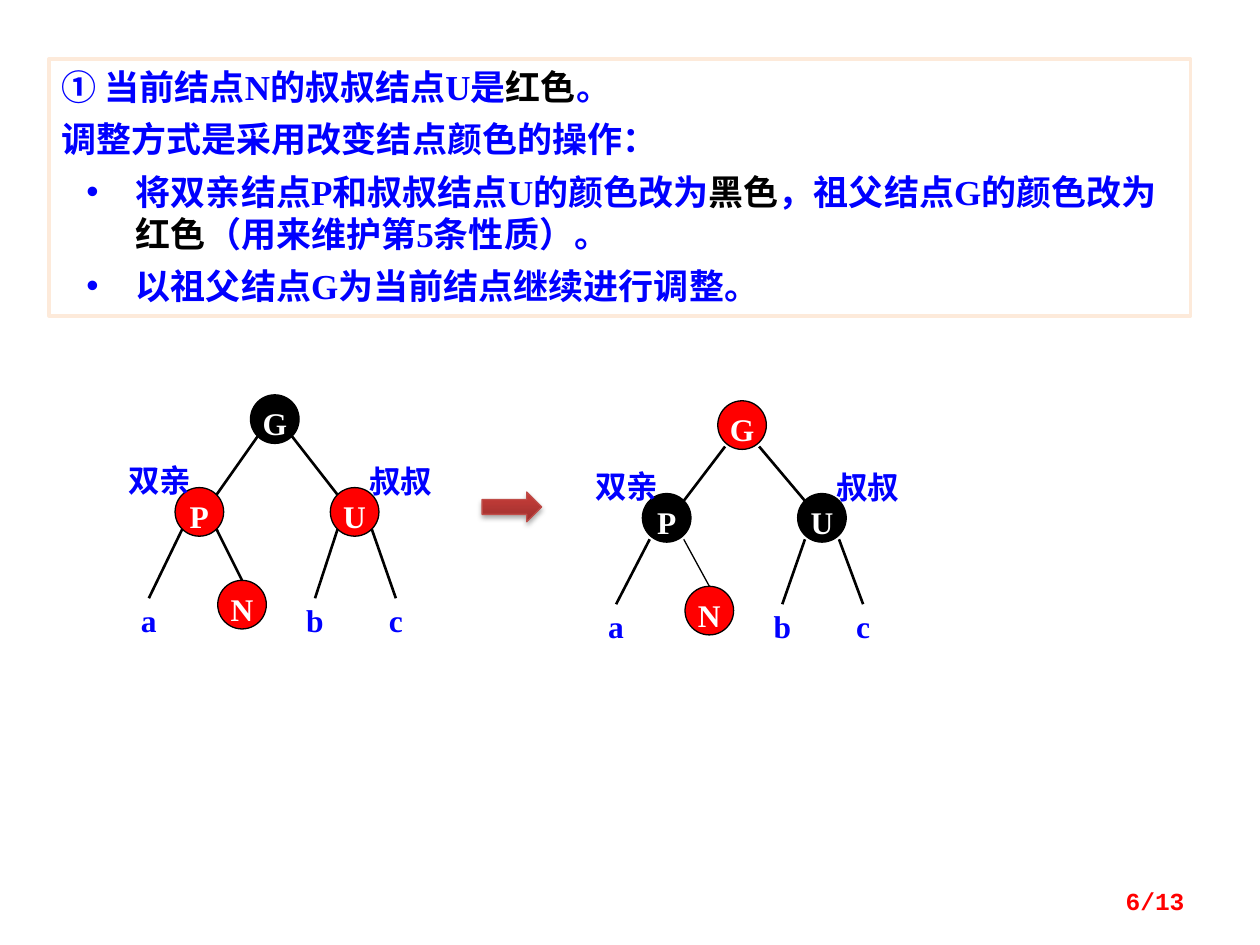
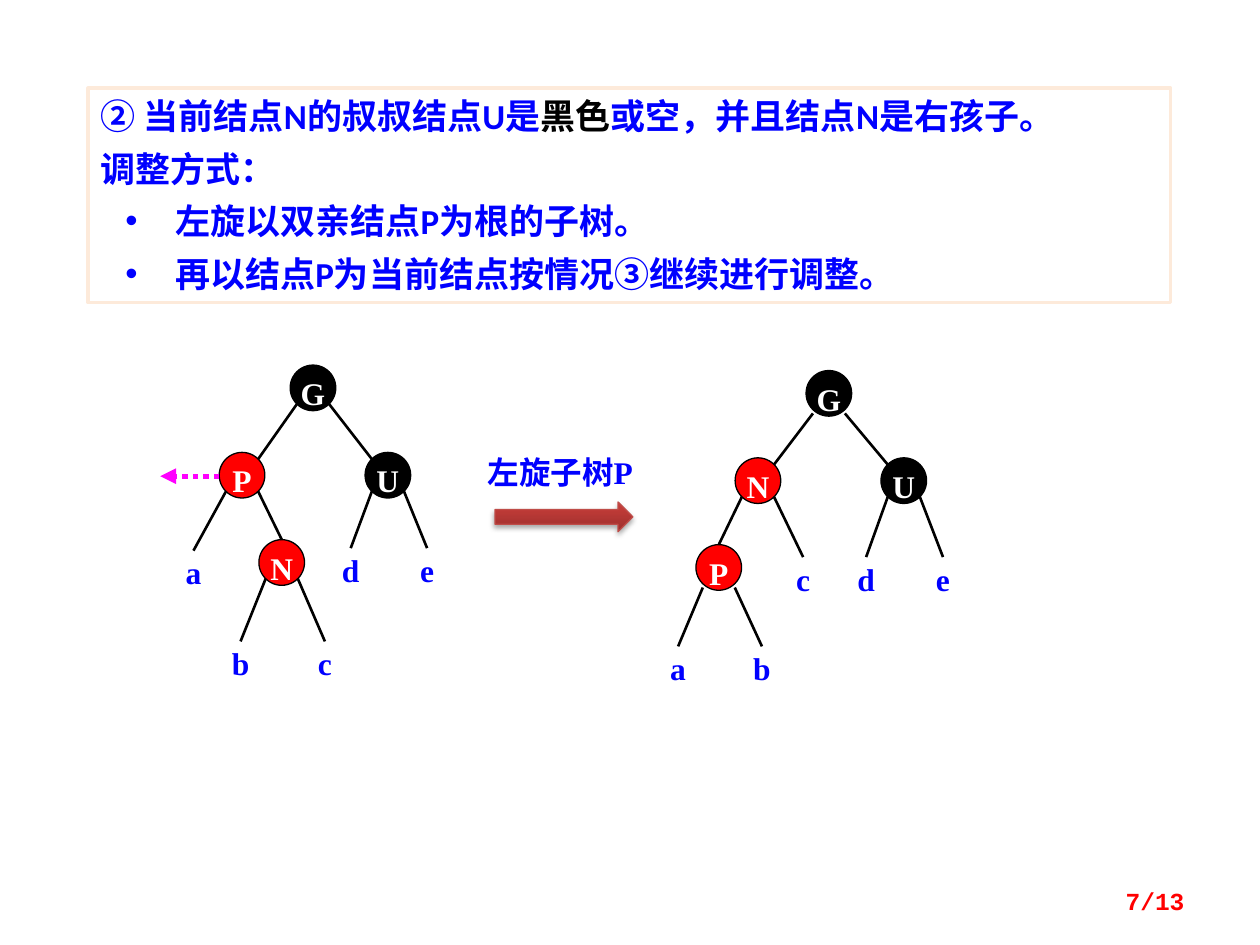
from lxml.etree import SubElement
from pptx import Presentation
from pptx.dml.color import RGBColor
from pptx.enum.dml import MSO_LINE as Dash
from pptx.enum.shapes import MSO_CONNECTOR as Wire, MSO_SHAPE as Form
from pptx.enum.text import MSO_ANCHOR as Anchor, MSO_AUTO_SIZE as Fit, PP_ALIGN as Align
from pptx.oxml.ns import qn
from pptx.util import Cm, Pt

BLUE = RGBColor(0x00, 0x00, 0xFF)
RED = RGBColor(0xFF, 0x00, 0x00)
BLACK = RGBColor(0x00, 0x00, 0x00)
WHITE = RGBColor(0xFF, 0xFF, 0xFF)
PINK = RGBColor(0xFF, 0x00, 0xFF)
PEACH = RGBColor(0xFD, 0xEA, 0xDA)
RUST = RGBColor(0xBF, 0x4C, 0x48)
DARK = RGBColor(0x9C, 0x2F, 0x2D)
LIGHT = RGBColor(0xCB, 0x3E, 0x3A)

LABEL = {"name": "Times New Roman", "size": Pt(18), "bold": True}
FOOT = {"name": "Courier New", "size": Pt(14), "bold": True}
BODY = {"size": Pt(20), "bold": True}
TIGHT = {"margin_left": 0, "margin_right": 0, "margin_top": Cm(0.05),
         "margin_bottom": 0, "word_wrap": True, "vertical_anchor": Anchor.TOP}


def write(par, text, hue, look):
    """Add text to a paragraph; parts between asterisks turn black."""
    for i, part in enumerate(text.split("*")):
        run = par.add_run()
        run.text = part
        run.font.color.rgb = BLACK if i % 2 else hue
        for key, val in look.items():
            setattr(run.font, key, val)


def label(shape, text, hue, align):
    for key, val in TIGHT.items():
        setattr(shape.text_frame, key, val)
    par = shape.text_frame.paragraphs[0]
    par.alignment = align
    write(par, text, hue, LABEL)


# Trees: capitals are nodes (centre), small letters are leaves (top middle)
first = {"G": (5.54, 8.45), "P": (4.02, 10.32), "N": (4.88, 12.19), "U": (7.15, 10.32),
         "a": (3.0, 12.06), "b": (6.35, 12.06), "c": (7.98, 12.06)}
moved = {key: (x + 9.42, y + 0.12) for key, (x, y) in first.items()}
before = {"G": (6.31, 7.82), "P": (4.88, 9.58), "N": (5.68, 11.34), "U": (7.82, 9.58),
          "a": (3.9, 11.1), "d": (7.07, 11.05), "e": (8.61, 11.05),
          "b": (4.85, 12.93), "c": (6.55, 12.93)}
after = {"G": (16.71, 7.93), "N": (15.28, 9.69), "P": (14.49, 11.44), "U": (18.22, 9.69),
         "c": (16.19, 11.23), "d": (17.46, 11.23), "e": (19.01, 11.23),
         "a": (13.67, 13.03), "b": (15.36, 13.03)}
plain = "GP GU PN Pa Ub Uc"

# "low" names nodes whose outgoing edges start lower; "thin" names thin edges
pages = [
    {"foot": "6/13", "box": (0.99, 1.19, 23.01, 5.18), "face": "Times New Roman",
     "level": 1, "size": 0.98,
     "lines": ["① 当前结点N的叔叔结点U是*红色*。",
               "调整方式是采用改变结点颜色的操作：",
               "将双亲结点P和叔叔结点U的颜色改为*黑色*，祖父结点G的颜色改为*红色*（用来维护第5条性质）。",
               "以祖父结点G为当前结点继续进行调整。"],
     "trees": [{"spots": first, "red": "PNU", "edges": plain, "low": "", "thin": ""},
               {"spots": moved, "red": "GN", "edges": plain, "low": "GPU", "thin": "PN"}],
     "tags": [("双亲", 2.59, 9.25, 1.42), ("叔叔", 7.44, 9.27, 1.42),
              ("双亲", 12.0, 9.36, 1.42), ("叔叔", 16.86, 9.39, 1.42)],
     "arrow": (9.72, 9.92, 1.2, 0.6), "turn": None},
    {"foot": "7/13", "box": (1.78, 1.78, 21.82, 4.32), "face": "Calibri",
     "level": 0, "size": 0.92,
     "lines": ["② 当前结点N的叔叔结点U是*黑色*或空，并且结点N是右孩子。",
               "调整方式：",
               "左旋以双亲结点P为根的子树。",
               "再以结点P为当前结点按情况③继续进行调整。"],
     "trees": [{"spots": before, "red": "PN", "edges": "GP GU PN Pa Ud Ue Nb Nc",
                "low": "", "thin": ""},
               {"spots": after, "red": "NP", "edges": "GN GU NP Nc Ud Ue Pa Pb",
                "low": "GP", "thin": ""}],
     "tags": [("左旋子树P", 9.83, 9.09, 3.25)],
     "arrow": (9.98, 10.12, 2.78, 0.6), "turn": (4.42, 3.23, 9.6)},
]

deck = Presentation()
deck.slide_width, deck.slide_height = Cm(25.4), Cm(19.05)

for page in pages:
    shapes = deck.slides.add_slide(deck.slide_layouts[6]).shapes

    # Framed explanation
    box = shapes.add_shape(Form.RECTANGLE, *map(Cm, page["box"]))
    box.shadow.inherit = False
    box.fill.solid()
    box.fill.fore_color.rgb = WHITE
    box.line.color.rgb = PEACH
    box.line.width = Pt(2)
    frame = box.text_frame
    frame.word_wrap = True
    frame.vertical_anchor = Anchor.TOP
    frame.auto_size = Fit.SHAPE_TO_FIT_TEXT
    for i, text in enumerate(page["lines"]):
        par = frame.add_paragraph() if i else frame.paragraphs[0]
        par.alignment = Align.LEFT
        par.space_before = Pt(6)
        write(par, text, BLUE, {**BODY, "name": page["face"]})
        if i > 1:
            par.level = page["level"]
            props = par._p.get_or_add_pPr()
            props.set("marL", str(Cm(1.5)))
            props.set("indent", str(-Cm(1)))
            SubElement(props, qn("a:buFont"), typeface="Arial")
            SubElement(props, qn("a:buChar"), char="•")

    # Trees
    size = page["size"]
    side = 0.35 * size
    wires = []
    for tree in page["trees"]:
        spots, made = tree["spots"], {}
        for key, (x, y) in spots.items():
            if key.isupper():
                node = shapes.add_shape(Form.OVAL, Cm(x - size / 2), Cm(y - size / 2),
                                        Cm(size), Cm(size))
                node.shadow.inherit = False
                node.fill.solid()
                node.fill.fore_color.rgb = RED if key in tree["red"] else BLACK
                node.line.color.rgb = BLACK
                node.line.width = Pt(0.75)
                label(node, key, WHITE, Align.CENTER)
            else:
                node = shapes.add_textbox(Cm(x - 0.25), Cm(y), Cm(0.5), Cm(0.7))
                label(node, key, BLUE, Align.CENTER)
            made[key] = node

        # Edges enter the root's children at a corner, all others at the top
        for edge in tree["edges"].split():
            top, end = edge
            (x1, y1), (x2, y2) = spots[top], spots[end]
            way = side if x2 > x1 else -side
            drop = 0.44 * size if top in tree["low"] else side
            wire = shapes.add_connector(Wire.STRAIGHT, Cm(x1 + way), Cm(y1 + drop),
                                        Cm(x2 - way), Cm(y2 - side))
            if top != "G":
                wire.end_connect(made[end], 0)
            wires.append((wire, BLACK, 0.75 if edge == tree["thin"] else 1.5))

    # Dotted arrow showing the turn
    if page["turn"]:
        start, stop, y = map(Cm, page["turn"])
        turn = shapes.add_connector(Wire.STRAIGHT, start, y, stop, y)
        wires.append((turn, PINK, 3))
    for wire, hue, width in wires:
        wire.line.color.rgb = hue
        wire.line.width = Pt(width)
        SubElement(wire._element.spPr, qn("a:effectLst"))
    if page["turn"]:
        turn.line.dash_style = Dash.ROUND_DOT
        SubElement(turn._element.spPr.find(qn("a:ln")), qn("a:tailEnd"), type="triangle")

    # Captions
    for text, x, y, width in page["tags"]:
        tag = shapes.add_textbox(Cm(x), Cm(y), Cm(width), Cm(0.7))
        label(tag, text, BLUE, Align.LEFT)

    # Step arrow with a soft shadow
    arrow = shapes.add_shape(Form.RIGHT_ARROW, *map(Cm, page["arrow"]))
    arrow.fill.gradient()
    arrow.fill.gradient_angle = 90
    for stop, hue in zip(arrow.fill.gradient_stops, (DARK, LIGHT)):
        stop.color.rgb = hue
    arrow.line.color.rgb = RUST
    arrow.line.width = Pt(0.75)
    arrow.shadow.inherit = False
    glow = SubElement(arrow._element.spPr.find(qn("a:effectLst")), qn("a:outerShdw"),
                      blurRad=str(Pt(3.1)), dist=str(Pt(1.8)), dir="5400000", rotWithShape="0")
    shade = SubElement(glow, qn("a:srgbClr"), val=str(BLACK))
    SubElement(shade, qn("a:alpha"), val="35000")

    # Page number
    foot = shapes.add_textbox(Cm(18.21), Cm(17.65), Cm(5.92), Cm(1.02)).text_frame
    foot.word_wrap = True
    foot.vertical_anchor = Anchor.MIDDLE
    foot.paragraphs[0].alignment = Align.RIGHT
    write(foot.paragraphs[0], page["foot"], RED, FOOT)

deck.save("out.pptx")
